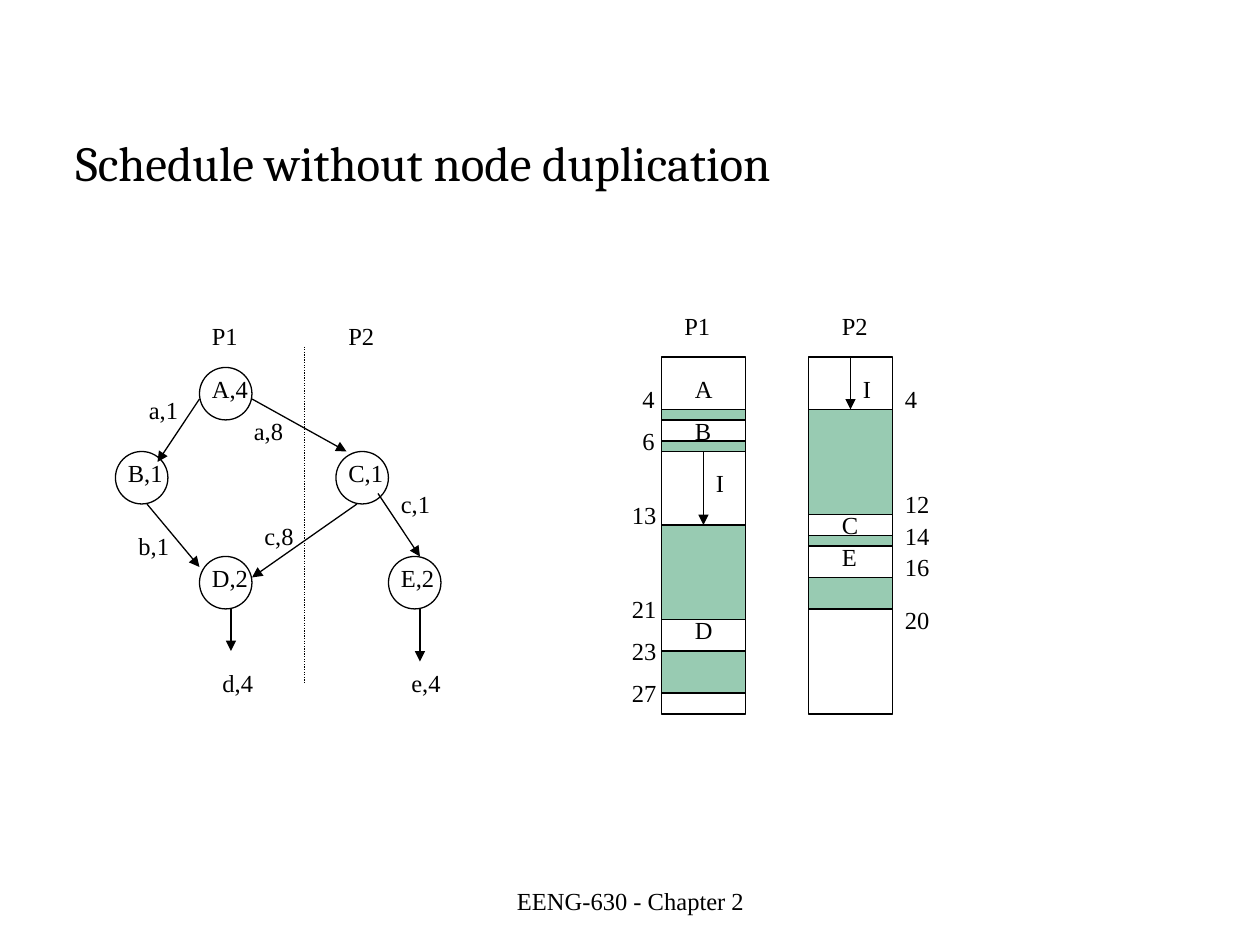
from typing import NamedTuple

import pptx
import pptx.dml.color
import pptx.enum.dml
import pptx.enum.shapes
import pptx.enum.text
import pptx.oxml
import pptx.oxml.ns
import pptx.util
from pptx.util import Inches

COLORS = {"ink": "000000", "busy": "339966"}
SERIF = "Times New Roman"
LABEL_SIZE = 14
UNITS_PER_INCH = 12  # the drawing sits on a grid of twelfths of an inch
NODE_SIZE = 5
COLUMN_TOP, COLUMN_WIDTH, COLUMN_HEIGHT = 34, 8, 34

# Widths of the letters used, in ems
EMS = {",": 0.25, "I": 0.33, "P": 0.56, "E": 0.61, "B": 0.67, "C": 0.67,
       "A": 0.72, "D": 0.72, "a": 0.44, "c": 0.44, "e": 0.44}
DEFAULT_EM = 0.5


class Label(NamedTuple):
    text: str
    x: int
    y: int


class Arrow(NamedTuple):
    x1: int
    y1: int
    x2: int
    y2: int


class Band(NamedTuple):
    top: int
    height: int


class Column(NamedTuple):
    x: int
    bands: list[Band]
    labels: list[Label]
    input_arrow: Arrow
    times_by_y: dict[int, Label]


NODES = [Label("A,4", 19, 35), Label("E,2", 37, 53), Label("C,1", 32, 43),
         Label("D,2", 19, 53), Label("B,1", 11, 43)]
EDGES = [Arrow(19, 38, 15, 44), Arrow(24, 38, 33, 43), Arrow(14, 48, 19, 54),
         Arrow(34, 48, 24, 55), Arrow(36, 47, 40, 53), Arrow(22, 58, 22, 62),
         Arrow(40, 58, 40, 63)]
DIVIDER = Arrow(29, 33, 29, 65)
GRAPH_LABELS = [Label("a,1", 13, 37), Label("b,1", 12, 50), Label("c,8", 24, 49),
                Label("a,8", 23, 39), Label("c,1", 37, 46), Label("e,4", 38, 63),
                Label("d,4", 20, 63), Label("P1", 19, 30), Label("P2", 32, 30)]


def times(*marks: tuple[str, int, int]) -> dict[int, Label]:
    return {y: Label(text, x, y) for text, x, y in marks}


SCHEDULE = [
    Column(63, [Band(39, 1), Band(42, 1), Band(50, 9), Band(62, 4)],
           [Label("P1", 64, 29), Label("A", 65, 35), Label("B", 65, 39),
            Label("I", 67, 44), Label("D", 65, 58)],
           Arrow(67, 43, 67, 50),
           times(("4", 60, 36), ("6", 60, 40), ("13", 59, 47),
                 ("21", 59, 56), ("23", 59, 60), ("27", 59, 64))),
    Column(77, [Band(39, 10), Band(51, 1), Band(55, 3)],
           [Label("P2", 79, 29), Label("I", 81, 35), Label("C", 79, 48),
            Label("E", 79, 51)],
           Arrow(81, 34, 81, 39),
           times(("4", 85, 36), ("12", 85, 46), ("14", 85, 49),
                 ("16", 85, 52), ("20", 85, 57))),
]


def color(name: str) -> pptx.dml.color.RGBColor:
    return pptx.dml.color.RGBColor.from_string(COLORS[name])


def grid(units: float) -> pptx.util.Length:
    return Inches(units / UNITS_PER_INCH)


def set_font(paragraph, name: str, size: int) -> None:
    paragraph.font.name = name
    paragraph.font.size = pptx.util.Pt(size)
    paragraph.font.color.rgb = color("ink")


def draw_outline(line) -> None:
    line.color.rgb = color("ink")
    line.width = pptx.util.Pt(0.75)


def add_label(slide, label: Label) -> None:
    ems = sum(EMS.get(letter, DEFAULT_EM) for letter in label.text)
    width = 0.2 + ems * LABEL_SIZE / 72
    box = slide.shapes.add_textbox(grid(label.x), grid(label.y), Inches(width), Inches(0.34))
    frame = box.text_frame
    frame.word_wrap = False
    frame.auto_size = pptx.enum.text.MSO_AUTO_SIZE.SHAPE_TO_FIT_TEXT
    frame.text = label.text
    set_font(frame.paragraphs[0], SERIF, LABEL_SIZE)


def add_outlined(slide, preset, x: int, y: int, width: int, height: int, busy: bool = False) -> None:
    shape = slide.shapes.add_shape(preset, grid(x), grid(y), grid(width), grid(height))
    shape.shadow.inherit = False
    draw_outline(shape.line)
    if not busy:
        shape.fill.background()
        return
    shape.fill.solid()
    shape.fill.fore_color.rgb = color("busy")
    fill_color = shape.fill._xPr.find(".//" + pptx.oxml.ns.qn("a:srgbClr"))
    fill_color.append(pptx.oxml.parse_xml(
        f'<a:alpha {pptx.oxml.ns.nsdecls("a")} val="50000"/>'))


def add_line(slide, ends: Arrow, head: bool = True):
    connector = slide.shapes.add_connector(
        pptx.enum.shapes.MSO_CONNECTOR.STRAIGHT, *(grid(end) for end in ends))
    draw_outline(connector.line)
    namespace = pptx.oxml.ns.nsdecls("a")
    if head:
        connector.line._get_or_add_ln().append(
            pptx.oxml.parse_xml(f'<a:tailEnd {namespace} type="triangle"/>'))
    connector._element.spPr.append(pptx.oxml.parse_xml(f"<a:effectLst {namespace}/>"))
    return connector


def add_title(slide) -> None:
    title = slide.shapes.title
    title.left, title.top, title.width, title.height = map(Inches, (0.5, 1, 9, 1))
    title.text_frame.text = "Schedule without node duplication"
    title.text_frame.vertical_anchor = pptx.enum.text.MSO_ANCHOR.TOP
    heading = title.text_frame.paragraphs[0]
    heading.alignment = pptx.enum.text.PP_ALIGN.LEFT
    set_font(heading, "Cambria", 28)


def add_footer(slide) -> None:
    footer = slide.shapes.add_textbox(*map(Inches, (3.42, 6.95, 3.17, 0.4))).text_frame
    footer.word_wrap = True
    footer.vertical_anchor = pptx.enum.text.MSO_ANCHOR.MIDDLE
    footer.text = "EENG-630 - Chapter 2"
    footer.paragraphs[0].alignment = pptx.enum.text.PP_ALIGN.CENTER
    set_font(footer.paragraphs[0], SERIF, LABEL_SIZE)


def add_task_graph(slide) -> None:
    for node in NODES:
        add_outlined(slide, pptx.enum.shapes.MSO_SHAPE.OVAL, node.x, node.y, NODE_SIZE, NODE_SIZE)
    for edge in EDGES:
        add_line(slide, edge)
    divider = add_line(slide, DIVIDER, head=False)
    divider.line.dash_style = pptx.enum.dml.MSO_LINE.ROUND_DOT
    for label in NODES + GRAPH_LABELS:
        add_label(slide, label)


def add_schedule_column(slide, column: Column) -> None:
    rectangle = pptx.enum.shapes.MSO_SHAPE.RECTANGLE
    add_outlined(slide, rectangle, column.x, COLUMN_TOP, COLUMN_WIDTH, COLUMN_HEIGHT)
    for band in column.bands:
        add_outlined(slide, rectangle, column.x, band.top, COLUMN_WIDTH, band.height, busy=True)
    for label in [*column.labels, *column.times_by_y.values()]:
        add_label(slide, label)
    add_line(slide, column.input_arrow)


def main() -> None:
    presentation = pptx.Presentation()
    presentation.slide_width, presentation.slide_height = Inches(10), Inches(7.5)
    slide = presentation.slides.add_slide(presentation.slide_layouts[5])

    # Heading and footer
    add_title(slide)
    add_footer(slide)

    # Task graph split over two processors
    add_task_graph(slide)

    # Timeline of each processor
    for column in SCHEDULE:
        add_schedule_column(slide, column)

    presentation.save("out.pptx")


if __name__ == "__main__":
    main()
